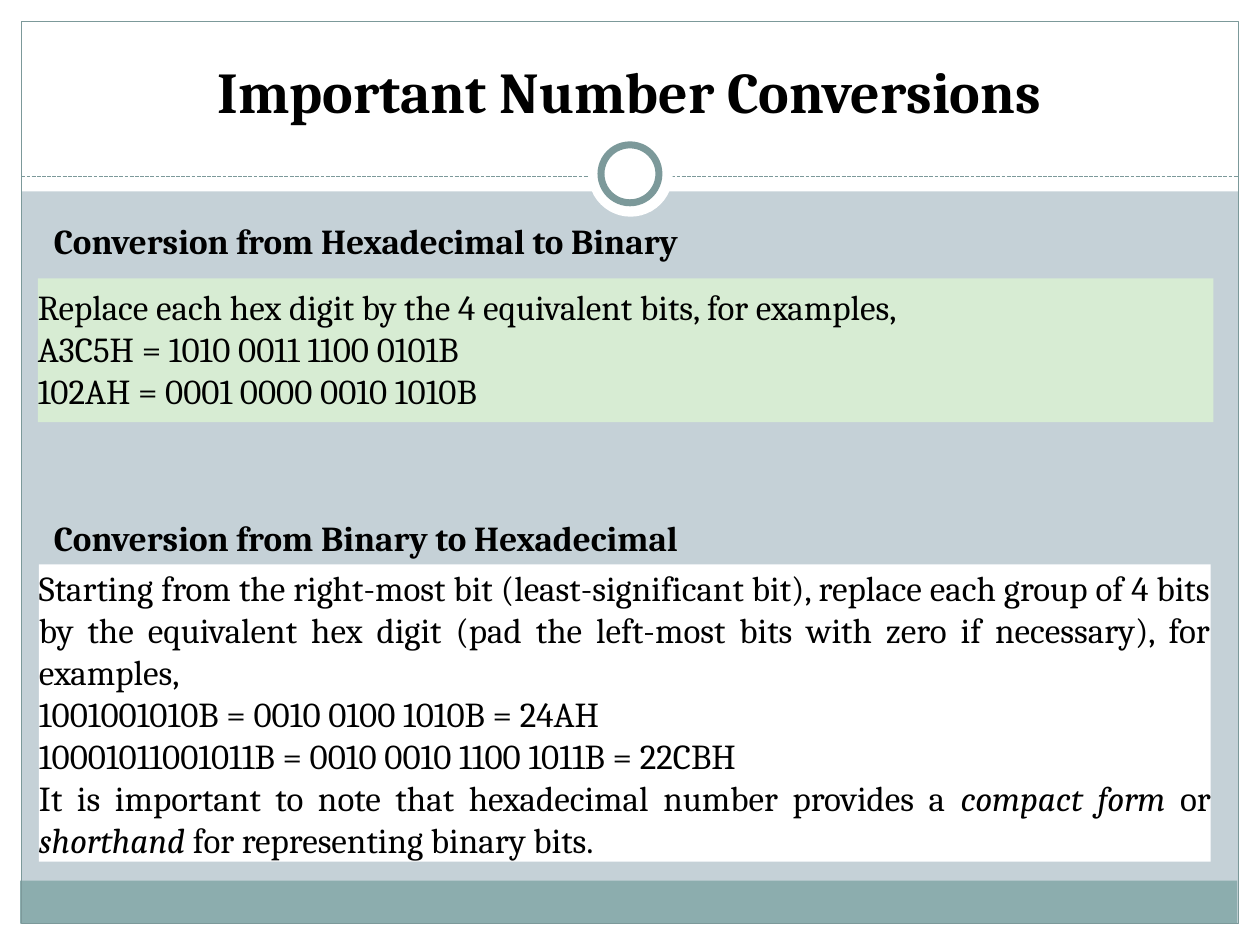
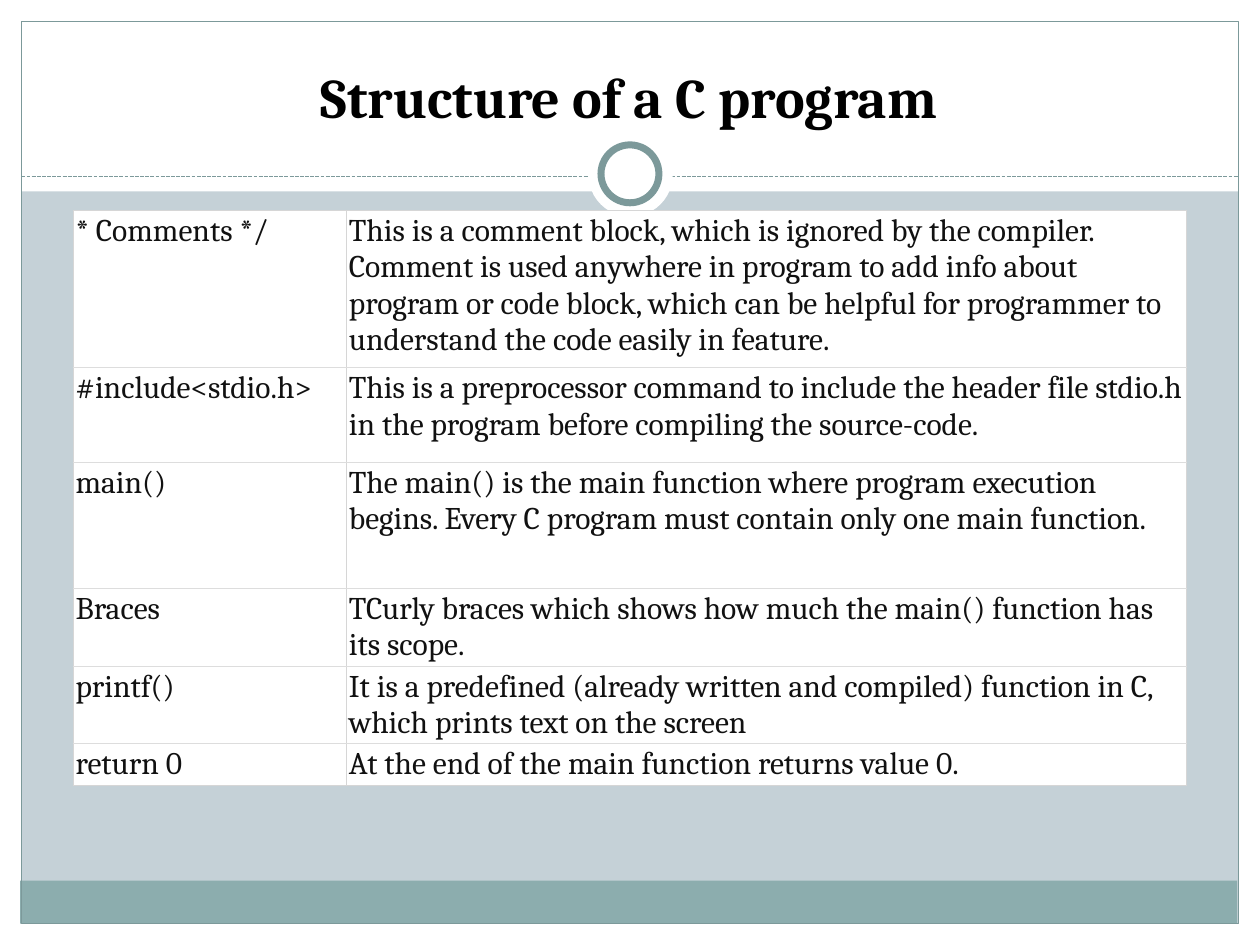
from lxml import etree
from pptx import Presentation
from pptx.dml.color import RGBColor
from pptx.enum import dml, shapes, text
from pptx.oxml.ns import qn
from pptx.util import Inches, Pt

FONT = "Cambria"
BLACK = RGBColor(0x00, 0x00, 0x00)
INK = RGBColor(0x11, 0x11, 0x11)
WHITE = RGBColor(0xFF, 0xFF, 0xFF)
BACKDROP = RGBColor(0xC5, 0xD1, 0xD7)
TEAL = RGBColor(0x8C, 0xAD, 0xAE)
SLATE = RGBColor(0x7C, 0x99, 0x9A)
GREEN = RGBColor(0xD7, 0xEC, 0xD3)
SIDE_RULE = RGBColor(0xD6, 0xD6, 0xD6)
ROW_RULE = RGBColor(0xDD, 0xDD, 0xDD)

RECT = shapes.MSO_SHAPE.RECTANGLE
OVAL = shapes.MSO_SHAPE.OVAL
CENTER = text.PP_ALIGN.CENTER
JUSTIFY = text.PP_ALIGN.JUSTIFY

# preset, (left, top, width, height), fill, line colour, line width
FRAME_PARTS = [
    (RECT, (0, 7.33, 10, 0.17), WHITE, None, 0),
    (RECT, (0, 0, 10, 1.52), WHITE, None, 0),
    (RECT, (0, 0, 0.17, 7.5), WHITE, None, 0),
    (RECT, (9.83, 0, 0.17, 7.5), WHITE, None, 0),
    (RECT, (0.16, 6.99, 9.66, 0.34), TEAL, None, 0),
    (RECT, (0.17, 0.17, 9.66, 7.16), None, SLATE, 0.75),
]
RING_PARTS = [
    (OVAL, (4.67, 1.05, 0.67, 0.67), WHITE, None, 0),
    (OVAL, (4.77, 1.15, 0.46, 0.46), WHITE, SLATE, 4),
]

HEADINGS = ["Conversion from Hexadecimal to Binary",
            "Conversion from Binary to Hexadecimal"]
TO_HEX = [
    "Starting from the right-most bit (least-significant bit), replace each group of 4 bits "
    "by the equivalent hex digit (pad the left-most bits with zero if necessary), for examples,",
    "1001001010B = 0010 0100 1010B = 24AH",
    "10001011001011B = 0010 0010 1100 1011B = 22CBH",
    [("It is important to note that hexadecimal number provides a ", False),
     ("compact form", True), (" or ", False), ("shorthand", True),
     (" for representing binary bits.", False)],
]
TO_BINARY = [
    "Replace each hex digit by the 4 equivalent bits, for examples,",
    "A3C5H = 1010 0011 1100 0101B",
    "102AH = 0001 0000 0010 1010B",
]
# place, fill, top and bottom inset, paragraphs
PANELS = [
    ((0.31, 4.48, 9.3, 2.36), WHITE, (0, 0), TO_HEX),
    ((0.3, 2.21, 9.33, 1.14), GREEN, (0.05, 0.08), TO_BINARY),
]

PROGRAM_PARTS = [
    ("* Comments */",
     "This is a comment block, which is ignored by the compiler. Comment is used anywhere in "
     "program to add info about program or code block, which can be helpful for programmer to "
     "understand the code easily in feature."),
    ("#include<stdio.h>",
     "This is a preprocessor command to include the header file stdio.h in the program before "
     "compiling the source-code."),
    ("main()",
     "The main() is the main function where program execution begins. Every C program must "
     "contain only one main function."),
    ("Braces", "TCurly braces which shows how much the main() function has its scope."),
    ("printf()",
     "It is a predefined (already written and compiled) function in C, which prints text on "
     "the screen"),
    ("return 0", "At the end of the main function returns value 0."),
]
COLUMN_WIDTHS = [2.17, 6.67]
ROW_HEIGHTS = [1.25, 0.75, 1, 0.57, 0.57, 0.22]


def inches(place):
    return [Inches(length) for length in place]


def write_text(frame, paragraphs, size=20, color=BLACK, bold=False, align=None, gap=0):
    """Fill a frame; a paragraph is a string or a list of (text, italic) pairs."""
    frame.word_wrap = True
    for index, content in enumerate(paragraphs):
        para = frame.paragraphs[0] if index == 0 else frame.add_paragraph()
        para.alignment = align
        if index and gap:
            para.space_before = Pt(gap)
        for words, italic in [(content, False)] if isinstance(content, str) else content:
            span = para.add_run()
            span.text = words
            font = span.font
            font.name, font.size, font.bold, font.italic = FONT, Pt(size), bold, italic
            font.color.rgb = color


def add_box(page, preset, place, fill=None, line=None, width=0):
    box = page.shapes.add_shape(preset, *inches(place))
    box.shadow.inherit = False
    if fill is None:
        box.fill.background()
    else:
        box.fill.solid()
        box.fill.fore_color.rgb = fill
    if line is None:
        box.line.fill.background()
    else:
        box.line.color.rgb = line
        box.line.width = Pt(width)
    return box


def add_dashed_rule(page):
    rule = page.shapes.add_connector(
        shapes.MSO_CONNECTOR.STRAIGHT, *inches((0.17, 1.4, 9.83, 1.4)))
    rule.line.color.rgb = SLATE
    rule.line.width = Pt(0.75)
    rule.line.dash_style = dml.MSO_LINE.SQUARE_DOT
    etree.SubElement(rule.element.spPr, qn("a:effectLst"))
    return rule


def furnish_layout(layout, page):
    """Draw the frame on a page, then move it to the layout that all pages share."""
    layout.background.fill.solid()
    layout.background.fill.fore_color.rgb = BACKDROP
    parts = [add_box(page, *part) for part in FRAME_PARTS]
    parts.append(add_dashed_rule(page))
    parts += [add_box(page, *part) for part in RING_PARTS]
    for part in parts:
        layout.shapes.element.append(part.element)


def set_title(page, words, top, size):
    title = page.shapes.title
    title.left, title.top, title.width, title.height = inches((0.33, top, 9.33, 0.83))
    frame = title.text_frame
    frame.auto_size = text.MSO_AUTO_SIZE.NONE
    frame.vertical_anchor = text.MSO_ANCHOR.BOTTOM
    write_text(frame, [words], size=size, bold=True, align=CENTER)


def set_border(cell, side, color):
    props = cell._tc.get_or_add_tcPr()
    line = etree.SubElement(props, qn(f"a:{side}"), w=str(Pt(0.75)))
    fill = etree.SubElement(line, qn("a:solidFill"))
    etree.SubElement(fill, qn("a:srgbClr"), val=str(color))


def build_conversions(page):
    set_title(page, "Important Number Conversions", top=0.21, size=33)
    body = page.shapes.add_textbox(*inches((0.33, 1.69, 9.3, 5)))
    write_text(body.text_frame, HEADINGS, bold=True, gap=146)
    for place, fill, (upper, lower), paragraphs in PANELS:
        panel = add_box(page, RECT, place, fill)
        frame = panel.text_frame
        frame.margin_left = frame.margin_right = 0
        frame.margin_top, frame.margin_bottom = Inches(upper), Inches(lower)
        frame.vertical_anchor = text.MSO_ANCHOR.MIDDLE
        write_text(frame, paragraphs, align=JUSTIFY)


def build_program_structure(page):
    set_title(page, "Structure of a C program", top=0.25, size=32)
    place = (0.58, 1.67, sum(COLUMN_WIDTHS), sum(ROW_HEIGHTS))
    table = page.shapes.add_table(
        len(ROW_HEIGHTS), len(COLUMN_WIDTHS), *inches(place)).table
    table.first_row = table.horz_banding = False
    for column, width in zip(table.columns, COLUMN_WIDTHS):
        column.width = Inches(width)
    last = len(ROW_HEIGHTS) - 1
    for index, (row, entries) in enumerate(zip(table.rows, PROGRAM_PARTS)):
        row.height = Inches(ROW_HEIGHTS[index])
        for cell, words in zip(row.cells, entries):
            cell.margin_left = cell.margin_right = Inches(0.02)
            cell.margin_top = cell.margin_bottom = Inches(0.02)
            write_text(cell.text_frame, [words], size=18, color=INK)
            set_border(cell, "lnL", SIDE_RULE)
            set_border(cell, "lnR", SIDE_RULE)
            set_border(cell, "lnT", SIDE_RULE if index == 0 else ROW_RULE)
            set_border(cell, "lnB", SIDE_RULE if index == last else ROW_RULE)
            cell.fill.solid()
            cell.fill.fore_color.rgb = WHITE


def main():
    deck = Presentation()
    deck.slide_width, deck.slide_height = Inches(10), Inches(7.5)
    layout = deck.slide_layouts[5]
    pages = [deck.slides.add_slide(layout) for _ in range(2)]
    furnish_layout(layout, pages[0])
    build_conversions(pages[0])
    build_program_structure(pages[1])
    deck.save("out.pptx")


if __name__ == "__main__":
    main()
